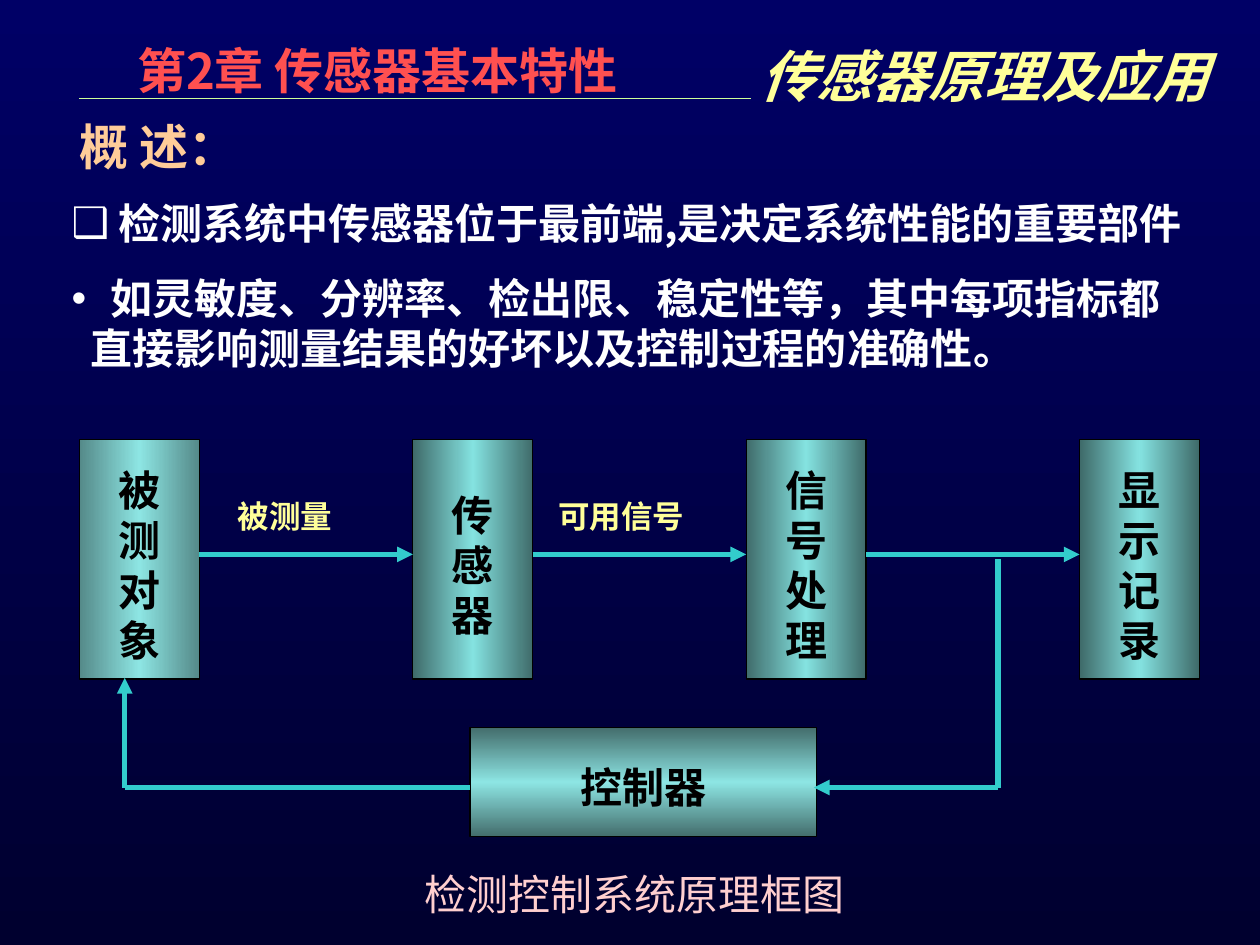
from copy import deepcopy
from typing import NamedTuple

from lxml import etree
from pptx import Presentation
from pptx.dml.color import RGBColor
from pptx.enum import shapes, text
from pptx.oxml.ns import qn
from pptx.util import Pt

COLORS = {
    "sky": "000066", "night": "00002F", "rule": "CCFF99", "arrow": "33CCCC",
    "course": "FFFF99", "chapter": "FF5050", "title": "FFCC99",
    "body": "FFFFFF", "caption": "FFCFCF", "black": "000000",
    "edge": "3F6B6A", "middle": "84E2E0",
    "object_edge": "558A89", "controller_edge": "436D6C", "glow": "8DE5E3",
}
CJK = "Noto Sans CJK SC"
TIMES = "Times New Roman"
LEFT, CENTER, RIGHT = text.PP_ALIGN.LEFT, text.PP_ALIGN.CENTER, text.PP_ALIGN.RIGHT
TOP, MIDDLE = text.MSO_ANCHOR.TOP, text.MSO_ANCHOR.MIDDLE
INSET = 3.6
LINE_HEIGHT = 1.19      # line pitch per point of text size
BASELINE_SHIFT = 0.12   # moves fixed-pitch lines down, per point of text size


class Style(NamedTuple):
    size: float
    color: str
    font: str = CJK
    bold: bool = True
    italic: bool = False
    align: text.PP_ALIGN = LEFT
    anchor: text.MSO_ANCHOR = TOP


class Box(NamedTuple):
    left: float
    top: float
    width: float
    height: float


class Label(NamedTuple):
    words: str
    box: Box
    style: Style


class Block(NamedTuple):
    words: str
    box: Box
    edge: str = "edge"
    middle: str = "middle"
    angle: float = 0


class Line(NamedTuple):
    start: tuple[float, float]
    end: tuple[float, float]
    arrow: bool = False
    color: str = "arrow"
    width: float = 3


class Item(NamedTuple):
    words: str
    bullet: str
    margin: float
    indent: float
    before: float


def rgb(name: str) -> RGBColor:
    return RGBColor.from_string(COLORS[name])


def fill_gradient(fill, element, names: list[str], angle: float) -> None:
    fill.gradient()
    fill.gradient_angle = angle
    first = element.find(".//" + qn("a:gs"))
    for _ in names[2:]:
        first.addnext(deepcopy(first))
    for index, (stop, name) in enumerate(zip(fill.gradient_stops, names)):
        stop.position = index / (len(names) - 1)
        stop.color.rgb = rgb(name)


def place(shape, box: Box) -> None:
    shape.left, shape.top, shape.width, shape.height = (Pt(value) for value in box)


def write(shape, words: str, style: Style) -> None:
    frame = shape.text_frame
    frame.text = words
    frame.word_wrap = True
    frame.auto_size = text.MSO_AUTO_SIZE.NONE
    frame.vertical_anchor = style.anchor
    shift = BASELINE_SHIFT * style.size
    frame.margin_left = frame.margin_right = Pt(7.2)
    frame.margin_top = Pt(INSET + shift)
    frame.margin_bottom = Pt(INSET - shift if style.anchor == MIDDLE else 0)
    for paragraph in frame.paragraphs:
        paragraph.alignment = style.align
        paragraph.line_spacing = Pt(style.size * LINE_HEIGHT)
        paragraph.space_before = Pt(0)
        for run in paragraph.runs:
            font = run.font
            font.size, font.name = Pt(style.size), style.font
            font.bold, font.italic = style.bold, style.italic
            font.color.rgb = rgb(style.color)
            east_asian = etree.Element(qn("a:ea"), typeface=CJK)
            font._element.find(qn("a:latin")).addnext(east_asian)


def format_item(paragraph, item: Item) -> None:
    paragraph.space_before = Pt(item.before)
    properties = paragraph._p.get_or_add_pPr()
    properties.set("marL", str(Pt(item.margin)))
    properties.set("indent", str(Pt(item.indent)))
    if item.bullet:
        etree.SubElement(properties, qn("a:buChar"), char=item.bullet)
    else:
        etree.SubElement(properties, qn("a:buNone"))


def draw_label(slide, label: Label) -> None:
    shape = slide.shapes.add_textbox(*(Pt(value) for value in label.box))
    write(shape, label.words, label.style)


def draw_block(slide, block: Block) -> None:
    shape = slide.shapes.add_shape(
        shapes.MSO_SHAPE.RECTANGLE, *(Pt(value) for value in block.box))
    shape.shadow.inherit = False
    fill_gradient(shape.fill, shape._element,
                  [block.edge, block.middle, block.edge], block.angle)
    shape.line.color.rgb = rgb("black")
    shape.line.width = Pt(0.75)
    write(shape, block.words,
          Style(24, "black", TIMES, align=CENTER, anchor=MIDDLE))


def draw_line(slide, line: Line) -> None:
    connector = slide.shapes.add_connector(
        shapes.MSO_CONNECTOR.STRAIGHT, *(Pt(value) for value in line.start + line.end))
    connector.line.color.rgb = rgb(line.color)
    connector.line.width = Pt(line.width)
    if line.arrow:
        etree.SubElement(connector.line._get_or_add_ln(), qn("a:tailEnd"), type="triangle")
    etree.SubElement(connector._element.spPr, qn("a:effectLst"))


# Flow chart grid
X0, STEP, BLOCK_TOP, BLOCK_WIDTH, BLOCK_HEIGHT = 45.4, 190.5, 251.3, 68.5, 136.8
FLOW_Y, RETURN_Y, BRANCH_X, FEEDBACK_X = 316.8, 450, 570.3, 71.3
CONTROLLER = Box(268.6, 415.8, 198, 62.3)
STAGES = ["被测对象", "传感器", "信号处理", "显示记录"]

ITEMS = [
    Item("检测系统中传感器位于最前端,是决定系统性能的重要部件", "❑", 26.6, -26.6, 0),
    Item("如灵敏度、分辨率、检出限、稳定性等，其中每项指标都", "•", 22, -22, 14.3),
    Item("直接影响测量结果的好坏以及控制过程的准确性。", "", 11, 0, 0),
]
SIGNAL = Style(18, "course", TIMES)
LABELS = [
    Label("传感器原理及应用", Box(422, 16.6, 275.8, 46),
          Style(32, "course", italic=True, align=RIGHT)),
    Label("第2章 传感器基本特性", Box(71.3, 16.6, 320, 41), Style(28, "chapter")),
    Label("被测量", Box(128.9, 278.6, 76, 28.8), SIGNAL),
    Label("可用信号", Box(311.8, 278.6, 114.5, 28.8), SIGNAL),
    Label("检测控制系统原理框图", Box(235.4, 490.3, 258, 36),
          Style(24, "caption", TIMES, bold=False)),
]


def main() -> None:
    presentation = Presentation()
    presentation.slide_width, presentation.slide_height = Pt(720), Pt(540)
    slide = presentation.slides.add_slide(presentation.slide_layouts[1])
    fill_gradient(slide.background.fill, slide._element, ["sky", "night"], 270)

    # Title and body
    title, body = slide.placeholders
    place(title, Box(28, 62, 124.6, 36))
    write(title, "概 述：", Style(28, "title", align=CENTER, anchor=MIDDLE))
    place(body, Box(33.8, 106.6, 674.6, 136.8))
    write(body, "\n".join(item.words for item in ITEMS), Style(24, "body"))
    for paragraph, item in zip(body.text_frame.paragraphs, ITEMS):
        format_item(paragraph, item)

    # Flow chart blocks
    for index, stage in enumerate(STAGES):
        box = Box(X0 + index * STEP, BLOCK_TOP, BLOCK_WIDTH, BLOCK_HEIGHT)
        colors = ("edge", "middle") if index else ("object_edge", "glow")
        draw_block(slide, Block("\n".join(stage), box, *colors))
    draw_block(slide, Block("控制器", CONTROLLER, "controller_edge", "glow", 270))

    # Header rule, forward arrows and feedback loop
    forward = [Line((X0 + index * STEP + BLOCK_WIDTH, FLOW_Y),
                    (X0 + (index + 1) * STEP, FLOW_Y), True)
               for index in range(len(STAGES) - 1)]
    feedback = [
        Line((BRANCH_X, 319.7), (BRANCH_X, RETURN_Y)),
        Line((BRANCH_X, RETURN_Y), (465.1, RETURN_Y), True),
        Line((FEEDBACK_X, RETURN_Y), (CONTROLLER.left, RETURN_Y)),
        Line((FEEDBACK_X, RETURN_Y), (FEEDBACK_X, 387.4), True),
    ]
    rule = Line((X0, 56.2), (429.1, 56.2), color="rule", width=0.75)
    for line in [rule, *forward, *feedback]:
        draw_line(slide, line)

    # Headings, signal names and caption
    for label in LABELS:
        draw_label(slide, label)

    presentation.save("out.pptx")


if __name__ == "__main__":
    main()
